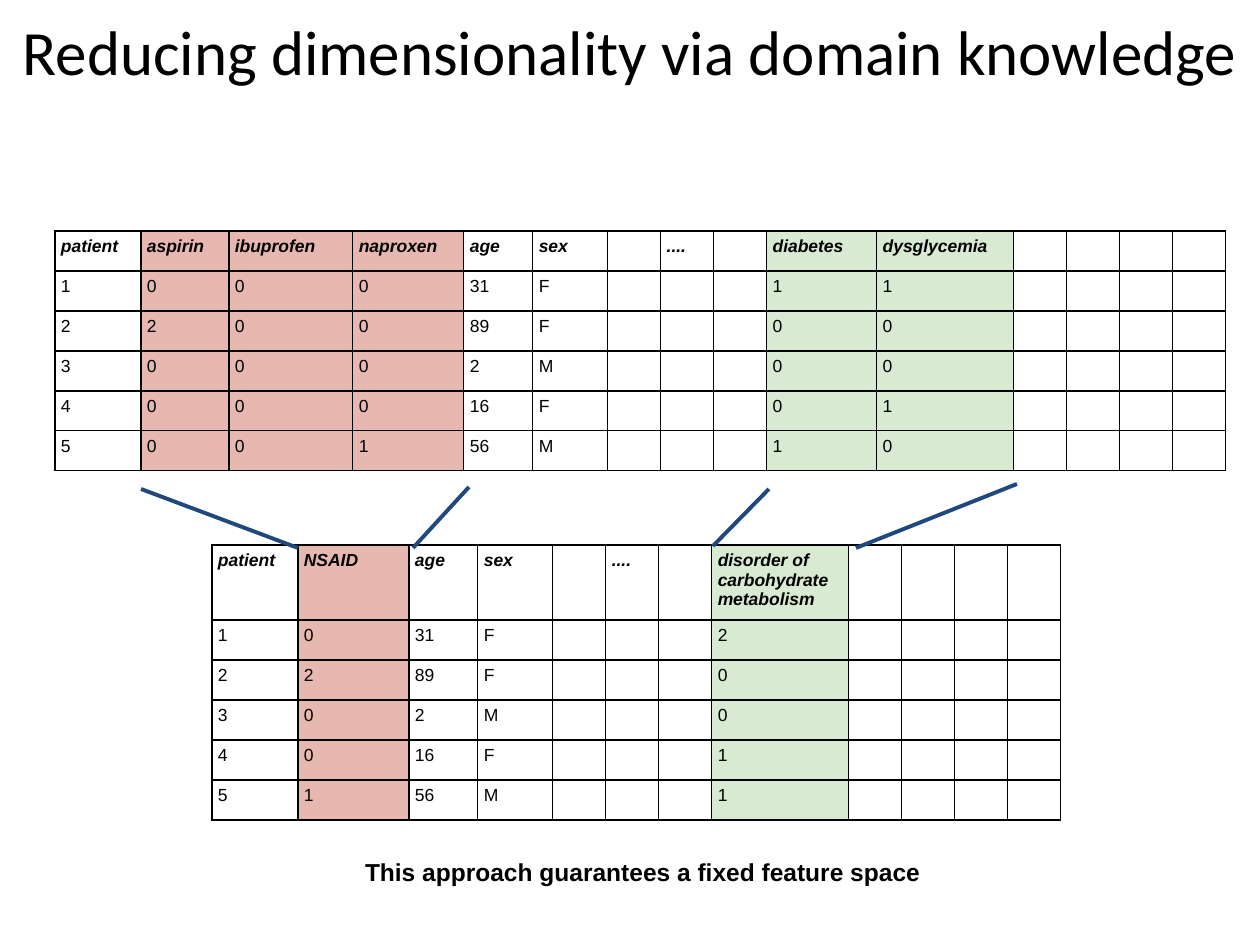
from dataclasses import dataclass

import pptx
import pptx.dml.color
import pptx.enum.shapes
import pptx.enum.text
import pptx.oxml
import pptx.oxml.ns
import pptx.util
from lxml import etree

SCALE = 914400 // 126


def px(length):
    return pptx.util.Emu(length * SCALE)


def color(value):
    return pptx.dml.color.RGBColor.from_string(value)


@dataclass(frozen=True)
class Theme:
    text: str = "000000"
    plain: str = "FFFFFF"
    drug: str = "E6B8AF"
    disease: str = "D9EAD3"
    connector: str = "1F497D"
    title_font: str = "Calibri"
    body_font: str = "Arial"
    title_size: int = 36
    caption_size: int = 14
    table_size: int = 10
    border_width: float = 0.75
    connector_width: float = 2.25


@dataclass(frozen=True)
class Column:
    width: int
    fill: str
    header: str = ""
    values: tuple = ("",) * 5


class SlideBuilder:
    def __init__(self, slide, theme):
        self.slide = slide
        self.theme = theme

    def set_font(self, paragraph, name, size, bold=False, italic=False):
        font = paragraph.font
        font.name = name
        font.size = pptx.util.Pt(size)
        font.bold = bold
        font.italic = italic
        font.color.rgb = color(self.theme.text)

    def text(self, box, text, name, size, bold=False, wrap=True, center=False):
        shape = self.slide.shapes.add_textbox(*map(px, box))
        frame = shape.text_frame
        frame.word_wrap = wrap
        frame.margin_left = frame.margin_right = px(12)
        frame.margin_top = frame.margin_bottom = px(12 if wrap else 6)
        paragraph = frame.paragraphs[0]
        paragraph.text = text
        if center:
            paragraph.alignment = pptx.enum.text.PP_ALIGN.CENTER
        self.set_font(paragraph, name, size, bold)

    def border(self, cell):
        properties = cell._tc.get_or_add_tcPr()
        width = pptx.util.Pt(self.theme.border_width)
        for side in ("lnL", "lnR", "lnT", "lnB"):
            properties.append(pptx.oxml.parse_xml(
                f'<a:{side} {pptx.oxml.ns.nsdecls("a")} w="{width}"><a:solidFill>'
                f'<a:srgbClr val="{self.theme.text}"/></a:solidFill></a:{side}>'))

    def cell(self, cell, text, fill, header):
        cell.margin_left = cell.margin_right = px(6)
        cell.margin_top = cell.margin_bottom = px(6)
        self.border(cell)
        cell.fill.solid()
        cell.fill.fore_color.rgb = color(fill)
        paragraph = cell.text_frame.paragraphs[0]
        self.set_font(paragraph, self.theme.body_font, self.theme.table_size, header, header)
        if text:
            paragraph.text = text
        else:
            etree.SubElement(paragraph._p, pptx.oxml.ns.qn("a:endParaRPr"),
                             sz=str(self.theme.table_size * 100))

    def table(self, left, top, columns, header_height, row_height=40):
        row_count = len(columns[0].values) + 1
        width = sum(column.width for column in columns)
        height = header_height + row_height * (row_count - 1)
        table = self.slide.shapes.add_table(
            row_count, len(columns), *map(px, (left, top, width, height))).table
        for index, row in enumerate(table.rows):
            row.height = px(row_height if index else header_height)
        for column_index, column in enumerate(columns):
            table.columns[column_index].width = px(column.width)
            for row_index, text in enumerate((column.header, *column.values)):
                self.cell(table.cell(row_index, column_index), text, column.fill, row_index == 0)

    def line(self, *ends):
        connector = self.slide.shapes.add_connector(
            pptx.enum.shapes.MSO_CONNECTOR.STRAIGHT, *map(px, ends))
        connector.line.color.rgb = color(self.theme.connector)
        connector.line.width = pptx.util.Pt(self.theme.connector_width)
        etree.SubElement(connector._element.spPr, pptx.oxml.ns.qn("a:effectLst"))


def main():
    theme = Theme()
    presentation = pptx.Presentation()
    presentation.slide_width = px(1260)
    presentation.slide_height = px(945)
    slide = presentation.slides.add_slide(presentation.slide_layouts[6])
    builder = SlideBuilder(slide, theme)

    patient = Column(86, theme.plain, "patient", tuple("12345"))
    age = Column(69, theme.plain, "age", ("31", "89", "2", "16", "56"))
    sex = Column(75, theme.plain, "sex", tuple("FFMFM"))
    empty = Column(53, theme.plain)
    shared = [age, sex, empty, Column(53, theme.plain, "...."), empty]
    trailing = [empty] * 4

    detailed = [
        patient,
        Column(88, theme.drug, "aspirin", tuple("02000")),
        Column(124, theme.drug, "ibuprofen", tuple("00000")),
        Column(111, theme.drug, "naproxen", tuple("00001")),
        *shared,
        Column(110, theme.disease, "diabetes", tuple("10001")),
        Column(137, theme.disease, "dysglycemia", tuple("10010")),
        *trailing,
    ]
    reduced = [
        patient,
        Column(111, theme.drug, "NSAID", tuple("02001")),
        *shared,
        Column(137, theme.disease, "disorder of carbohydrate metabolism", tuple("20011")),
        *trailing,
    ]

    builder.text((0, 0, 1260, 157), "Reducing dimensionality via domain knowledge",
                 theme.title_font, theme.title_size, center=True)
    builder.table(55, 231, detailed, header_height=40)
    builder.table(212, 545, reduced, header_height=72)
    for ends in ((141, 489, 298, 548), (469, 487, 413, 548),
                 (769, 489, 713, 546), (1017, 484, 856, 548)):
        builder.line(*ends)
    builder.text((353, 851, 590, 43), "This approach guarantees a fixed feature space",
                 theme.body_font, theme.caption_size, bold=True, wrap=False)
    presentation.save("out.pptx")


if __name__ == "__main__":
    main()
